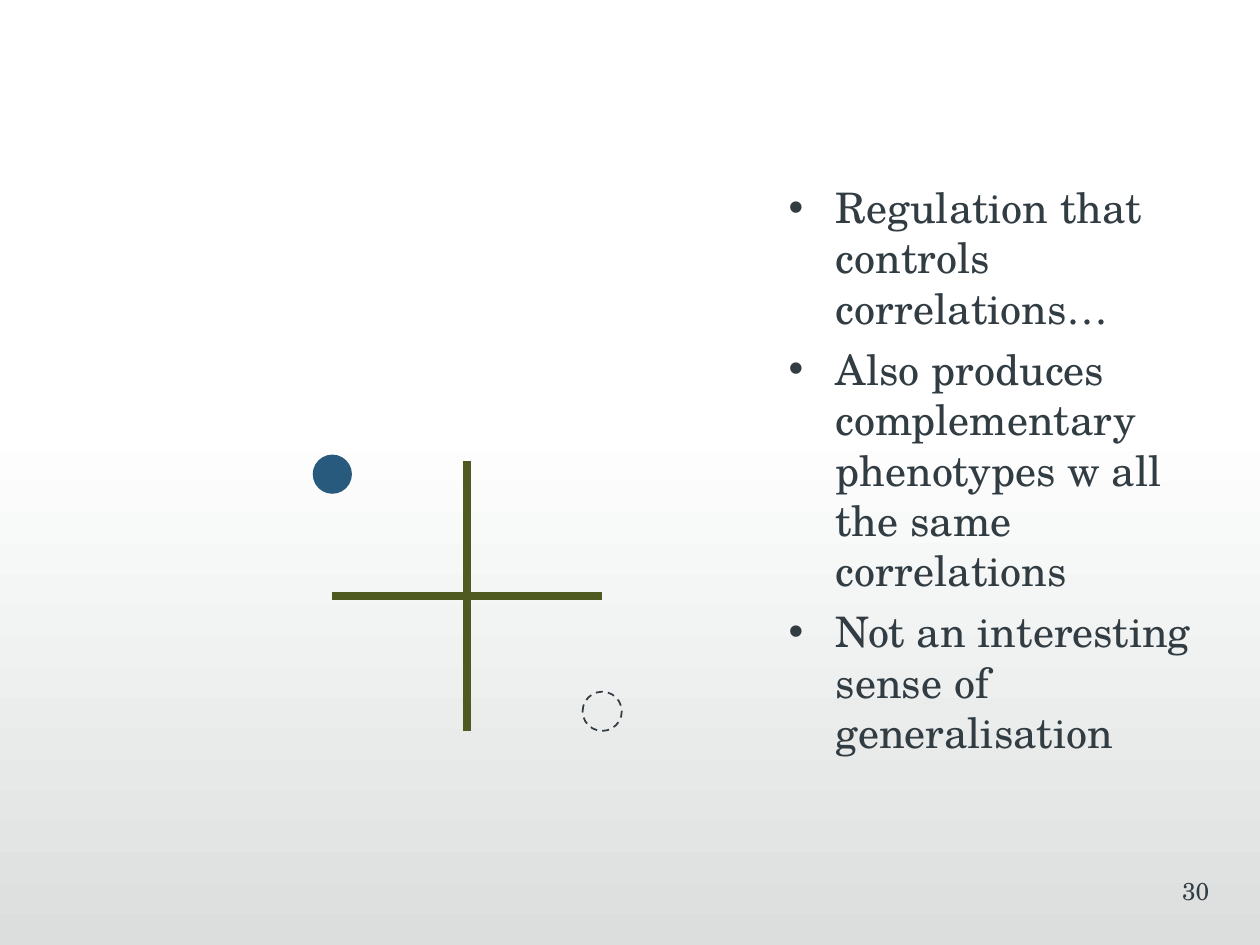
from lxml import etree
from pptx import Presentation
from pptx.dml.color import RGBColor
from pptx.enum.dml import MSO_LINE
from pptx.enum.shapes import MSO_CONNECTOR, MSO_SHAPE
from pptx.enum.text import MSO_ANCHOR, PP_ALIGN
from pptx.oxml.ns import qn
from pptx.util import Cm, Pt

STRAIGHT = MSO_CONNECTOR.STRAIGHT
RECTANGLE, OVAL = MSO_SHAPE.RECTANGLE, MSO_SHAPE.OVAL
DASH = MSO_LINE.DASH
TOP = MSO_ANCHOR.TOP
LEFT, RIGHT = PP_ALIGN.LEFT, PP_ALIGN.RIGHT

FONT = "TeX Gyre Schola"
INK, OLIVE, BLUE = "323D43", "4F5A20", "285A7D"
GRADIENT = ("FFFFFF", "DCDEDE")

POINTS = [
    "Regulation that controls correlations…",
    "Also produces complementary phenotypes w all the same correlations",
    "Not an interesting sense of generalisation",
]
PAGE_NUMBER = "30"

BACKDROP_BOX = (-0.23, 8.46, 25.63, 10.59)
POINTS_BOX = (15.9, 3.53, 8.61, 11.23)
NUMBER_BOX = (19.1, 17.53, 5.28, 1.27)
INDENT = 0.95
CENTRE_X, CENTRE_Y, ARM = 9.42, 12.01, 2.72
DOT_SIZE = 0.79
FILLED_DOT = (CENTRE_X - ARM, 9.56)
DASHED_DOT = (CENTRE_X + ARM, 14.34)


def colour(value):
    return RGBColor.from_string(value)


def lengths(values):
    return [Cm(value) for value in values]


def set_format(target, values):
    for name, value in values.items():
        setattr(target, name, value)


def add_backdrop(slide):
    backdrop = slide.shapes.add_shape(RECTANGLE, *lengths(BACKDROP_BOX))
    backdrop.shadow.inherit = False
    backdrop.line.fill.background()
    backdrop.fill.gradient()
    backdrop.fill.gradient_angle = 270
    for stop, value in zip(backdrop.fill.gradient_stops, GRADIENT):
        stop.color.rgb = colour(value)


def add_bullet(paragraph):
    properties = paragraph._p.get_or_add_pPr()
    properties.set("marL", str(Cm(INDENT)))
    properties.set("indent", str(-Cm(INDENT)))
    bullet_font = etree.SubElement(properties, qn("a:buFont"))
    bullet_font.set("typeface", "Arial")
    bullet = etree.SubElement(properties, qn("a:buChar"))
    bullet.set("char", "•")


def add_text(slide, box, lines, size, margins, alignment, space_after=0, bulleted=False):
    frame = slide.shapes.add_textbox(*lengths(box)).text_frame
    set_format(frame, {
        "word_wrap": True, "vertical_anchor": TOP,
        "margin_left": Cm(margins[0]), "margin_right": Cm(margins[1]),
        "margin_top": Cm(0.13), "margin_bottom": Cm(0.13),
    })
    for index, line in enumerate(lines):
        paragraph = frame.add_paragraph() if index else frame.paragraphs[0]
        paragraph.text = line
        if bulleted:
            add_bullet(paragraph)
        set_format(paragraph, {"alignment": alignment, "space_after": Pt(space_after)})
        set_format(paragraph.font, {"name": FONT, "size": Pt(size)})
        paragraph.font.color.rgb = colour(INK)


def add_axes(slide):
    axes = slide.shapes.add_group_shape()
    for step_x, step_y in ((0, ARM), (-ARM, 0)):
        ends = (CENTRE_X - step_x, CENTRE_Y - step_y, CENTRE_X + step_x, CENTRE_Y + step_y)
        axis = axes.shapes.add_connector(STRAIGHT, *lengths(ends))
        axis.line.color.rgb = colour(OLIVE)
        axis.line.width = Pt(4.5)
        etree.SubElement(axis._element.spPr, qn("a:effectLst"))


def add_dot(slide, centre):
    left, top = (value - DOT_SIZE / 2 for value in centre)
    dot = slide.shapes.add_shape(OVAL, *lengths((left, top, DOT_SIZE, DOT_SIZE)))
    dot.shadow.inherit = False
    return dot


def main():
    presentation = Presentation()
    set_format(presentation, {"slide_width": Cm(25.4), "slide_height": Cm(19.05)})
    slide = presentation.slides.add_slide(presentation.slide_layouts[6])

    add_backdrop(slide)
    add_text(slide, POINTS_BOX, POINTS, 24, (0, 0.25), LEFT, 6, True)
    add_text(slide, NUMBER_BOX, [PAGE_NUMBER], 14, (0.25, 0), RIGHT)
    add_axes(slide)

    filled = add_dot(slide, FILLED_DOT)
    filled.fill.solid()
    filled.fill.fore_color.rgb = colour(BLUE)
    filled.line.fill.background()

    dashed = add_dot(slide, DASHED_DOT)
    dashed.fill.background()
    dashed.line.color.rgb = colour(INK)
    set_format(dashed.line, {"width": Pt(1), "dash_style": DASH})

    presentation.save("out.pptx")


if __name__ == "__main__":
    main()
